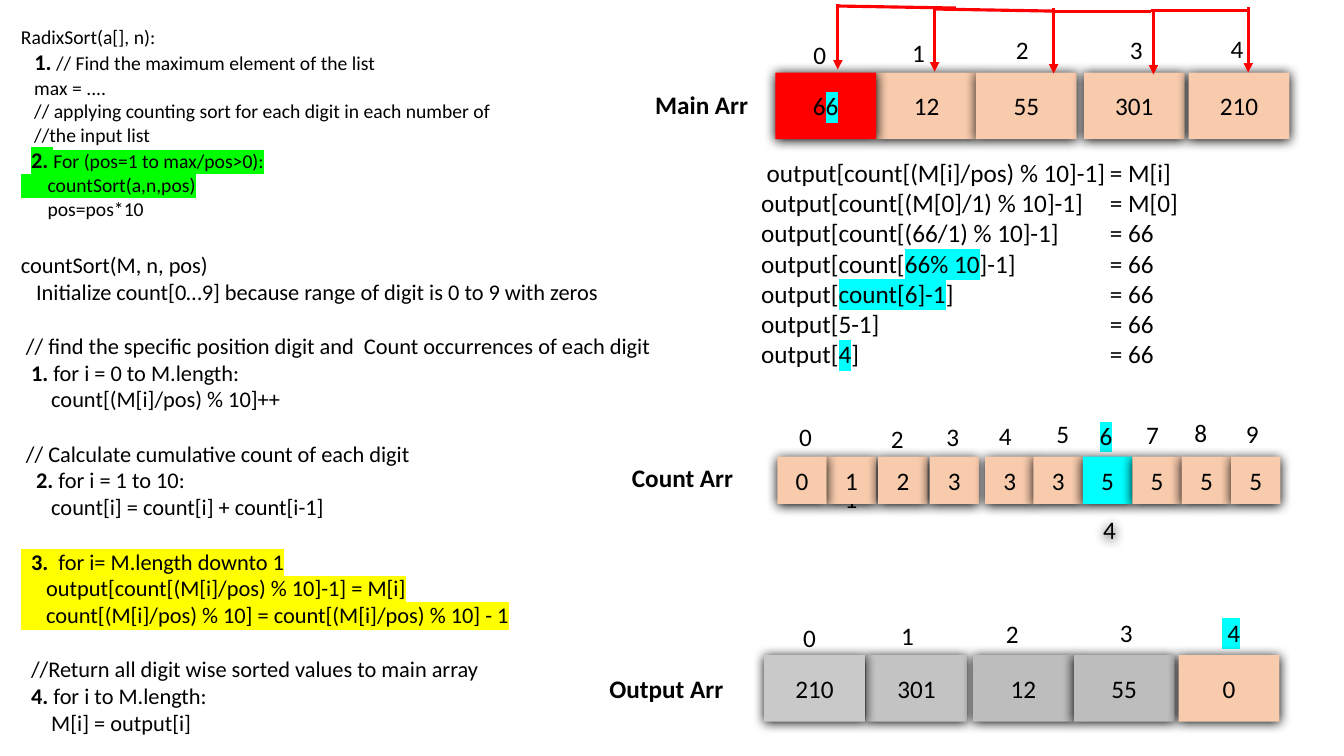
from lxml import etree
from pptx import Presentation
from pptx import util as u
from pptx.dml import color
from pptx.enum import shapes, text
from pptx.oxml import ns

PEACH, CYAN, GREEN, YELLOW, RED = "F8CBAD", "00FFFF", "00FF00", "FFFF00", "FF0000"


def rgb(value):
    return color.RGBColor.from_string(value)


def add_xml(parent, tag, **attributes):
    return etree.SubElement(parent, ns.qn(tag), attributes)


def part(words, highlight=None, bold=None, size=None):
    """Describe a stretch of text that differs from its paragraph."""
    return words, highlight, bold, size


class SlideBuilder:
    font_name = "Calibri"
    ink = "000000"
    size = 18

    def __init__(self, slide):
        self.slide = slide

    def set_text(self, paragraph, parts, size=None, bold=None, before=0, tab=None):
        if tab:
            stops = add_xml(paragraph._p.get_or_add_pPr(), "a:tabLst")
            add_xml(stops, "a:tab", pos=str(u.Inches(tab)), algn="l")
        font = paragraph.font
        font.name, font.size, font.bold = self.font_name, u.Pt(size or self.size), bold
        font.color.rgb = rgb(self.ink)
        if before:
            paragraph.space_before = u.Pt(before)
        for item in parts:
            words, highlight, run_bold, run_size = part(item) if isinstance(item, str) else item
            run = paragraph.add_run()
            run.text = words
            if run_bold:
                run.font.bold = True
            if run_size:
                run.font.size = u.Pt(run_size)
            if highlight:
                holder = add_xml(run._r.get_or_add_rPr(), "a:highlight")
                add_xml(holder, "a:srgbClr", val=highlight)

    def listing(self, left, top, width, height, lines, tab=None):
        """Lines are (size, space before, parts)."""
        shape = self.slide.shapes.add_textbox(*map(u.Inches, (left, top, width, height)))
        frame = shape.text_frame
        frame.word_wrap = True
        for index, (size, before, parts) in enumerate(lines):
            paragraph = frame.add_paragraph() if index else frame.paragraphs[0]
            self.set_text(paragraph, parts, size, before=before, tab=tab)

    def label(self, centre_x, centre_y, parts, width=0.4, bold=None):
        height = 0.3
        shape = self.slide.shapes.add_textbox(
            u.Inches(centre_x - width / 2), u.Inches(centre_y - height / 2),
            u.Inches(width), u.Inches(height))
        self.centre(shape, parts, bold)

    def centre(self, shape, parts, bold=None):
        frame = shape.text_frame
        frame.margin_left = frame.margin_right = frame.margin_top = frame.margin_bottom = 0
        frame.word_wrap = True
        frame.vertical_anchor = text.MSO_ANCHOR.MIDDLE
        frame.paragraphs[0].alignment = text.PP_ALIGN.CENTER
        self.set_text(frame.paragraphs[0], parts, bold=bold)

    def cell(self, left, top, width, height, fill, parts):
        shape = self.slide.shapes.add_shape(
            shapes.MSO_SHAPE.RECTANGLE, *map(u.Inches, (left, top, width, height)))
        if fill:
            shape.fill.solid()
            shape.fill.fore_color.rgb = rgb(fill)
        else:
            shape.fill.background()
        shape.line.fill.background()
        shape.shadow.inherit = False
        effects = shape._element.spPr.find(ns.qn("a:effectLst"))
        shadow = add_xml(effects, "a:outerShdw", blurRad=str(u.Pt(8.5)), dist=str(u.Pt(1)),
                         dir="5400000", algn="t", rotWithShape="0")
        add_xml(shadow, "a:srgbClr", val="000000")
        self.centre(shape, parts)

    def array(self, lefts, top, width, height, fills, values):
        """Draw the first cell last, so that it lies over its neighbour."""
        cells = list(zip(lefts, fills, values))
        for left, fill, value in cells[1:] + cells[:1]:
            self.cell(left, top, width, height, fill, value)

    def line(self, x1, y1, x2, y2, arrow=False):
        connector = self.slide.shapes.add_connector(
            shapes.MSO_CONNECTOR.STRAIGHT, *map(u.Inches, (x1, y1, x2, y2)))
        connector.line.color.rgb = rgb(RED)
        connector.line.width = u.Pt(2.25)
        properties = connector._element.spPr
        if arrow:
            add_xml(properties.find(ns.qn("a:ln")), "a:tailEnd", type="triangle")
        add_xml(properties, "a:effectLst")


PSEUDOCODE = [
    (14, 0, ["RadixSort(a[], n):"]),
    (14, 0, ["   ", part("1.", bold=True, size=16), " // Find the maximum element of the list"]),
    (14, 0, ["   max = ...."]),
    (14, 0, ["   // applying counting sort for each digit in each number of"]),
    (14, 0, ["   //the input list"]),
    (14, 0, [part("  ", bold=True, size=16), part("2. ", GREEN, True, 16),
             part("For (pos=1 to max/pos>0):", GREEN)]),
    (14, 0, [part("      countSort(a,n,pos)", GREEN)]),
    (14, 0, ["      pos=pos*10"]),
    (16, 22, ["countSort(M, n, pos)"]),
    (16, 0, ["   Initialize count[0…9] because range of digit is 0 to 9 with zeros"]),
    (16, 19.5, [" // find the specific position digit and  Count occurrences of each digit"]),
    (16, 0, [part("  1.", bold=True), " for i = 0 to M.length:"]),
    (16, 0, ["      count[(M[i]/pos) % 10]++"]),
    (16, 19.5, [" // Calculate cumulative count of each digit"]),
    (16, 0, [part("   2.", bold=True), " for i = 1 to 10:"]),
    (16, 0, ["      count[i] = count[i] + count[i-1]"]),
    (16, 19.5, [part("  ", YELLOW), part("3.  ", YELLOW, True),
                part("for i= M.length downto 1", YELLOW)]),
    (16, 0, [part("     output[count[(M[i]/pos) % 10]-1] = M[i]", YELLOW)]),
    (16, 0, [part("     count[(M[i]/pos) % 10] = count[(M[i]/pos) % 10] - 1", YELLOW)]),
    (16, 19.5, ["  //Return all digit wise sorted values to main array"]),
    (16, 0, ["  ", part("4. ", bold=True), "for i to M.length:"]),
    (16, 0, ["      M[i] = output[i]"]),
]

EVALUATION = [
    [" output[count[(M[i]/pos) % 10]-1]\t= M[i]"],
    ["output[count[(M[0]/1) % 10]-1]\t= M[0]"],
    ["output[count[(66/1) % 10]-1]\t= 66"],
    ["output[count[", part("66% 10", CYAN), "]-1]\t= 66"],
    ["output[", part("count[6]-1", CYAN), "]\t= 66"],
    ["output[5-1]\t= 66"],
    ["output[", part("4", CYAN), "]\t= 66"],
]

MAIN_INDEX = [(8.13, 0.54), (9.11, 0.52), (10.14, 0.49), (11.27, 0.49), (12.27, 0.48)]
COUNT_INDEX = [(7.99, 4.33), (8.44, 4.94), (8.9, 4.35), (9.45, 4.33), (9.97, 4.32),
               (10.54, 4.3), (10.97, 4.32), (11.43, 4.31), (11.91, 4.29), (12.42, 4.3)]
OUTPUT_INDEX = [(8.03, 6.32), (9.0, 6.3), (10.04, 6.28), (11.17, 6.27), (12.21, 6.27)]
ARROWS = [(12.38, 0.07), (11.44, 0.09), (10.45, 0.08), (9.27, 0.06), (8.31, 0.04)]
RAILS = [(12.38, 0.1, 11.42, 0.1), (11.42, 0.11, 10.46, 0.11),
         (10.44, 0.11, 9.28, 0.09), (9.48, 0.08, 8.32, 0.06)]


def main():
    presentation = Presentation()
    presentation.slide_width, presentation.slide_height = u.Inches(13.33), u.Inches(7.5)
    builder = SlideBuilder(presentation.slides.add_slide(presentation.slide_layouts[6]))

    builder.listing(0.11, 0.2, 6.56, 7.2, PSEUDOCODE)
    builder.listing(7.45, 1.51, 5.6, 2.3, [(18, 0, parts) for parts in EVALUATION], tab=3.46)

    highlighted = {COUNT_INDEX[6]: "6", OUTPUT_INDEX[4]: " 4"}
    for places in (MAIN_INDEX, COUNT_INDEX, OUTPUT_INDEX):
        for index, place in enumerate(places):
            marked = highlighted.get(place)
            builder.label(*place, [part(marked, CYAN) if marked else str(index)])

    builder.array([7.69, 8.69, 9.68, 10.75, 11.79], 0.72, 1, 0.66, [RED] + [PEACH] * 4,
                  [["6", part("6", CYAN)], ["12"], ["55"], ["301"], ["210"]])
    builder.array([7.71, 8.2, 8.71, 9.22, 9.77, 10.25, 10.74, 11.23, 11.72, 12.21],
                  4.53, 0.49, 0.47, [PEACH] * 6 + [CYAN] + [PEACH] * 3,
                  [[digit] for digit in "0123335555"])
    builder.array([7.58, 8.59, 9.65, 10.65, 11.69], 6.5, 1, 0.66,
                  ["C9C9C9", "C3C3C3", "BDBDBD", "BDBDBD", PEACH],
                  [["210"], ["301"], ["12"], ["55"], ["0"]])
    builder.cell(10.76, 5.02, 0.49, 0.47, None, ["4"])

    for name, x, y in (("Main Arr", 6.96, 1.04), ("Count Arr", 6.77, 4.74),
                       ("Output Arr", 6.61, 6.83)):
        builder.label(x, y, [name], width=1.3, bold=True)

    for x, top in ARROWS:
        builder.line(x, top, x, top + 0.65, arrow=True)
    for rail in RAILS:
        builder.line(*rail)

    presentation.save("out.pptx")


if __name__ == "__main__":
    main()
